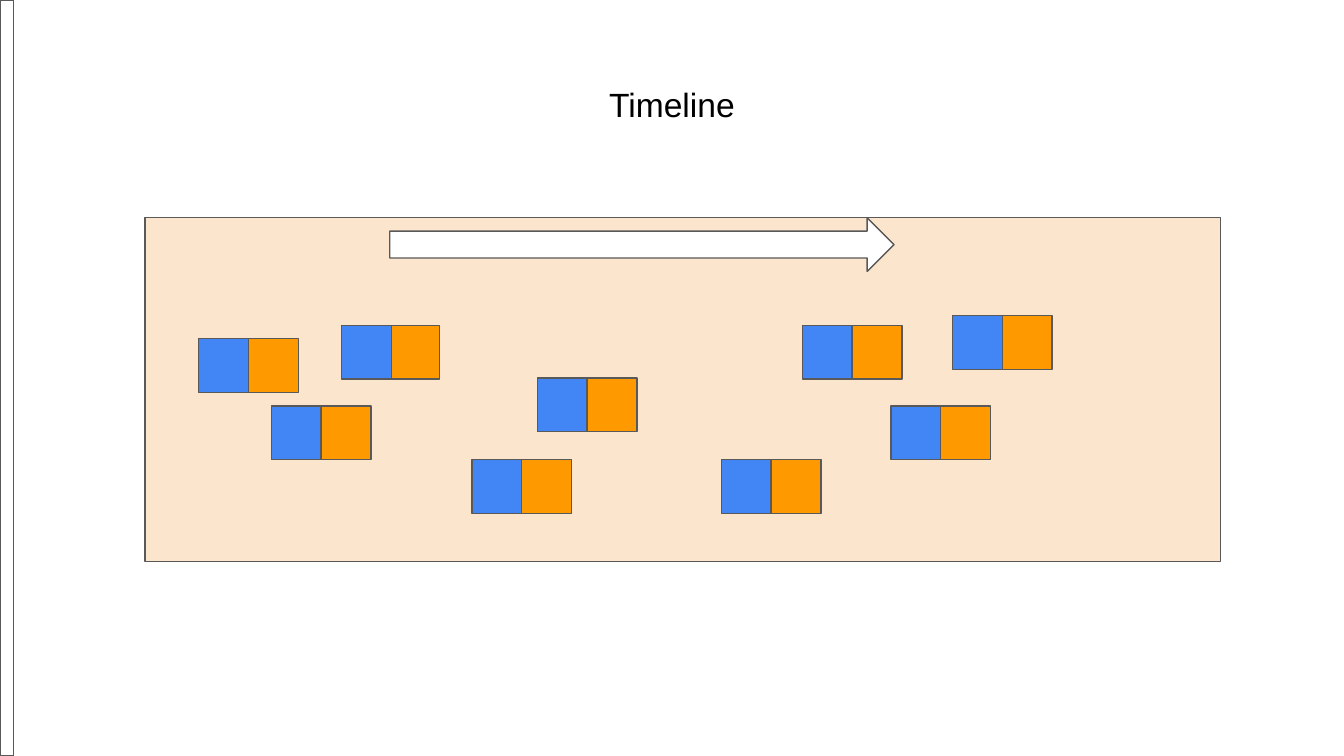
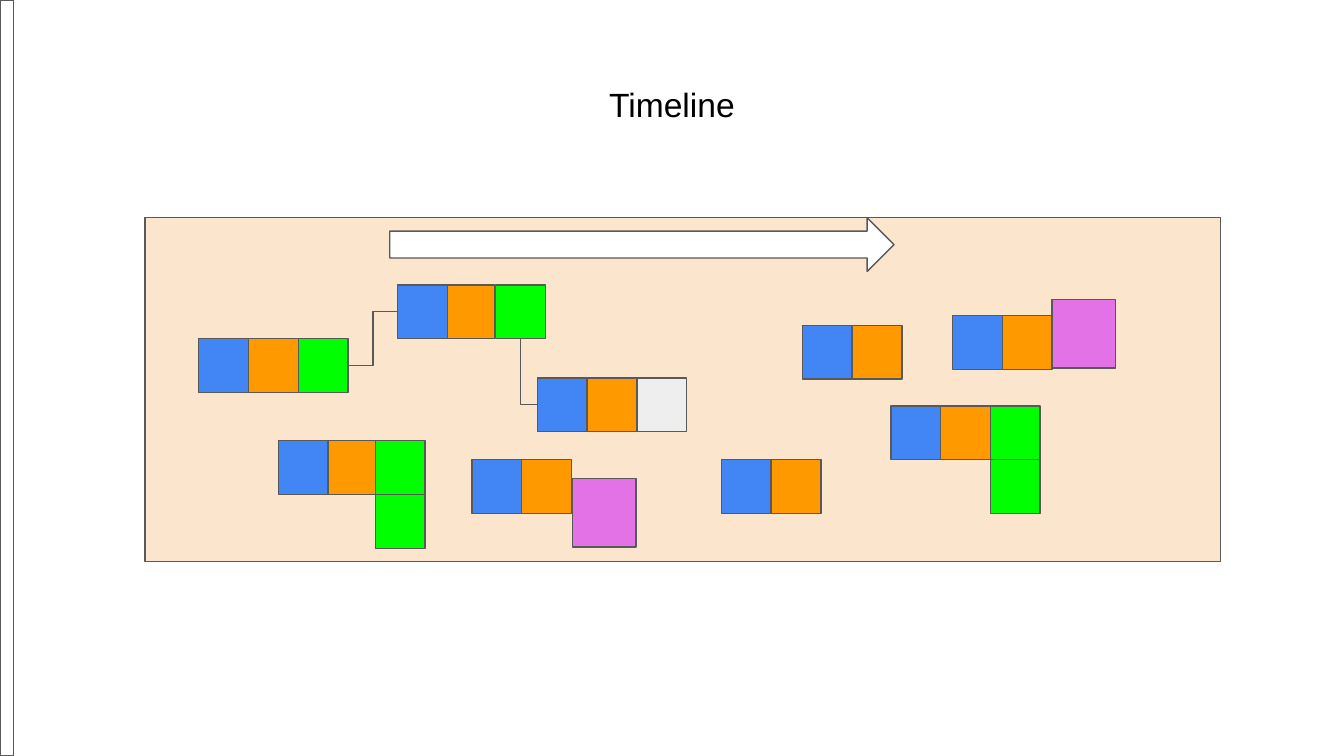
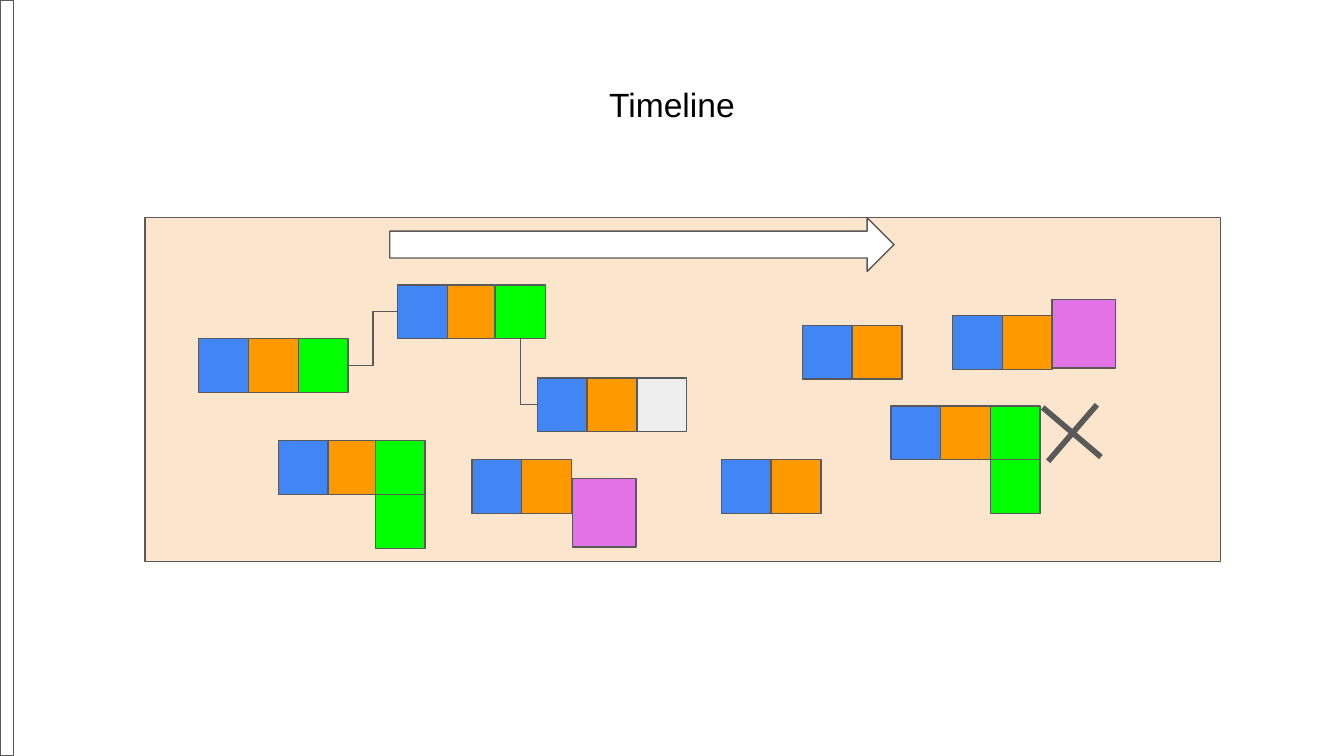
from dataclasses import dataclass

from lxml import etree
from pptx import Presentation
from pptx.dml.color import RGBColor
from pptx.enum.shapes import MSO_CONNECTOR, MSO_SHAPE
from pptx.enum.text import MSO_ANCHOR, MSO_AUTO_SIZE, PP_ALIGN
from pptx.oxml.ns import qn
from pptx.util import Inches, Pt

RECTANGLE = MSO_SHAPE.RECTANGLE
RIGHT_ARROW = MSO_SHAPE.RIGHT_ARROW
STRAIGHT = MSO_CONNECTOR.STRAIGHT
ELBOW = MSO_CONNECTOR.ELBOW
CENTER = PP_ALIGN.CENTER
TOP = MSO_ANCHOR.TOP
GROW = MSO_AUTO_SIZE.SHAPE_TO_FIT_TEXT
LEFT_SIDE, BOTTOM_SIDE, RIGHT_SIDE = 1, 2, 3
TITLE_ONLY = 5

COLORS = {
    "white": "FFFFFF",
    "black": "000000",
    "outline": "595959",
    "panel": "FCE5CD",
    "blue": "4285F4",
    "orange": "FF9900",
    "green": "00FF00",
    "pink": "E272E5",
    "gray": "EEEEEE",
}
FONT = "Arial"
SLIDE_COLUMNS, SLIDE_ROWS = 100, 56.25
TILE = (1, 1)
LARGE_TILE = (1.27, 1.28)


@dataclass
class Box:
    left: float
    top: float
    column: float
    row: float

    def point(self, column, row):
        return (Inches(self.left + column * self.column),
                Inches(self.top + row * self.row))

    def size(self, columns, rows):
        return Inches(columns * self.column), Inches(rows * self.row)


SLIDE_GRID = Box(0, 0, 0.1, 0.1)
PANEL_GRID = Box(1.08, 1.62, 0.37, 0.4)

STEADY_PAIRS = {
    "first": (1.08, 2.25),
    "middle": (7.89, 2.98),
    "lower middle": (6.57, 4.5),
    "lower right": (11.59, 4.5),
    "upper right": (13.22, 2),
    "right": (15, 3.5),
    "last": (16.24, 1.82),
}
START_PAIRS = STEADY_PAIRS | {"second": (3.95, 2), "third": (2.54, 3.5)}
GROWN_PAIRS = STEADY_PAIRS | {"second": (5.08, 1.25), "third": (2.68, 4.15)}
START_STEPS = {"second": 0.97}
GROWN_STEPS = {"second": 0.95}

ADDED_TILES = [
    ("third", "green", 1.95, 0, TILE),
    ("third", "green", 1.95, 1, TILE),
    ("right", "green", 2, 0, TILE),
    ("right", "green", 2, 1, TILE),
    ("first", "green", 2, 0, TILE),
    ("second", "green", 1.97, 0, TILE),
    ("lower middle", "pink", 2.03, 0.35, LARGE_TILE),
    ("last", "pink", 2, -0.3, LARGE_TILE),
    ("middle", "gray", 2, 0, TILE),
]
CROSS_STROKES = [
    ((19.14, 3.48), (18.16, 4.53)),
    ((19.22, 4.45), (18.05, 3.53)),
]


def color(name):
    return RGBColor.from_string(COLORS[name])


def add_block(slide, grid, position, size, fill, kind=RECTANGLE):
    shape = slide.shapes.add_shape(kind, *grid.point(*position), *grid.size(*size))
    shape.shadow.inherit = False
    shape.fill.solid()
    shape.fill.fore_color.rgb = color(fill)
    shape.line.color.rgb = color("outline")
    shape.line.width = Pt(0.75)
    return shape


def add_line(slide, start, end, width, kind=STRAIGHT):
    connector = slide.shapes.add_connector(kind, *start, *end)
    connector.line.color.rgb = color("outline")
    connector.line.width = Pt(width)
    etree.SubElement(connector._element.spPr, qn("a:effectLst"))
    return connector


def add_link(slide, source, source_side, target, target_side):
    connector = add_line(slide, (0, 0), (0, 0), 0.75, ELBOW)
    connector.begin_connect(source, source_side)
    connector.end_connect(target, target_side)
    return connector


def add_title(slide, grid, text):
    title = slide.shapes.title
    title.left, title.top = grid.point(25.45, 5.25)
    title.width, title.height = grid.size(49.1, 5)
    frame = title.text_frame
    frame.text = text
    frame.word_wrap = True
    frame.auto_size = GROW
    frame.vertical_anchor = TOP
    frame.margin_left = frame.margin_right = Inches(0.1)
    frame.margin_top = frame.margin_bottom = Inches(0.1)
    paragraph = frame.paragraphs[0]
    paragraph.alignment = CENTER
    paragraph.font.name = FONT
    paragraph.font.size = Pt(18)
    paragraph.font.color.rgb = color("black")


def add_timeline_slide(presentation):
    slide = presentation.slides.add_slide(presentation.slide_layouts[TITLE_ONLY])
    add_title(slide, SLIDE_GRID, "Timeline")
    add_block(slide, SLIDE_GRID, (0, 0), (1, SLIDE_ROWS), "white")
    add_block(slide, SLIDE_GRID, (10.8, 16.2), (80, 25.6), "panel")
    add_block(slide, PANEL_GRID, (4.92, 0), (10.14, 1), "white", RIGHT_ARROW)
    return slide


def add_pairs(slide, grid, pairs, steps):
    blue_tiles = {}
    for name, (column, row) in pairs.items():
        add_block(slide, grid, (column + steps.get(name, 1), row), TILE, "orange")
        blue_tiles[name] = add_block(slide, grid, (column, row), TILE, "blue")
    return blue_tiles


def add_growth(slide, grid, pairs, blue_tiles):
    added = {}
    for name, fill, column_offset, row_offset, size in ADDED_TILES:
        column, row = pairs[name]
        position = (column + column_offset, row + row_offset)
        added[name, row_offset] = add_block(slide, grid, position, size, fill)
    add_link(slide, added["first", 0], RIGHT_SIDE, blue_tiles["second"], LEFT_SIDE)
    corner = add_link(slide, blue_tiles["middle"], LEFT_SIDE,
                      added["second", 0], BOTTOM_SIDE)
    corner._element.spPr.find(qn("a:prstGeom")).set("prst", "bentConnector2")


def add_cross(slide, grid):
    for start, end in CROSS_STROKES:
        add_line(slide, grid.point(*start), grid.point(*end), 3)


def add_start_slide(presentation):
    slide = add_timeline_slide(presentation)
    add_pairs(slide, PANEL_GRID, START_PAIRS, START_STEPS)


def add_grown_slide(presentation, crossed=False):
    slide = add_timeline_slide(presentation)
    blue_tiles = add_pairs(slide, PANEL_GRID, GROWN_PAIRS, GROWN_STEPS)
    add_growth(slide, PANEL_GRID, GROWN_PAIRS, blue_tiles)
    if crossed:
        add_cross(slide, PANEL_GRID)


def main():
    presentation = Presentation()
    presentation.slide_width, presentation.slide_height = SLIDE_GRID.size(
        SLIDE_COLUMNS, SLIDE_ROWS)
    add_start_slide(presentation)
    add_grown_slide(presentation)
    add_grown_slide(presentation, crossed=True)
    presentation.save("out.pptx")


if __name__ == "__main__":
    main()
